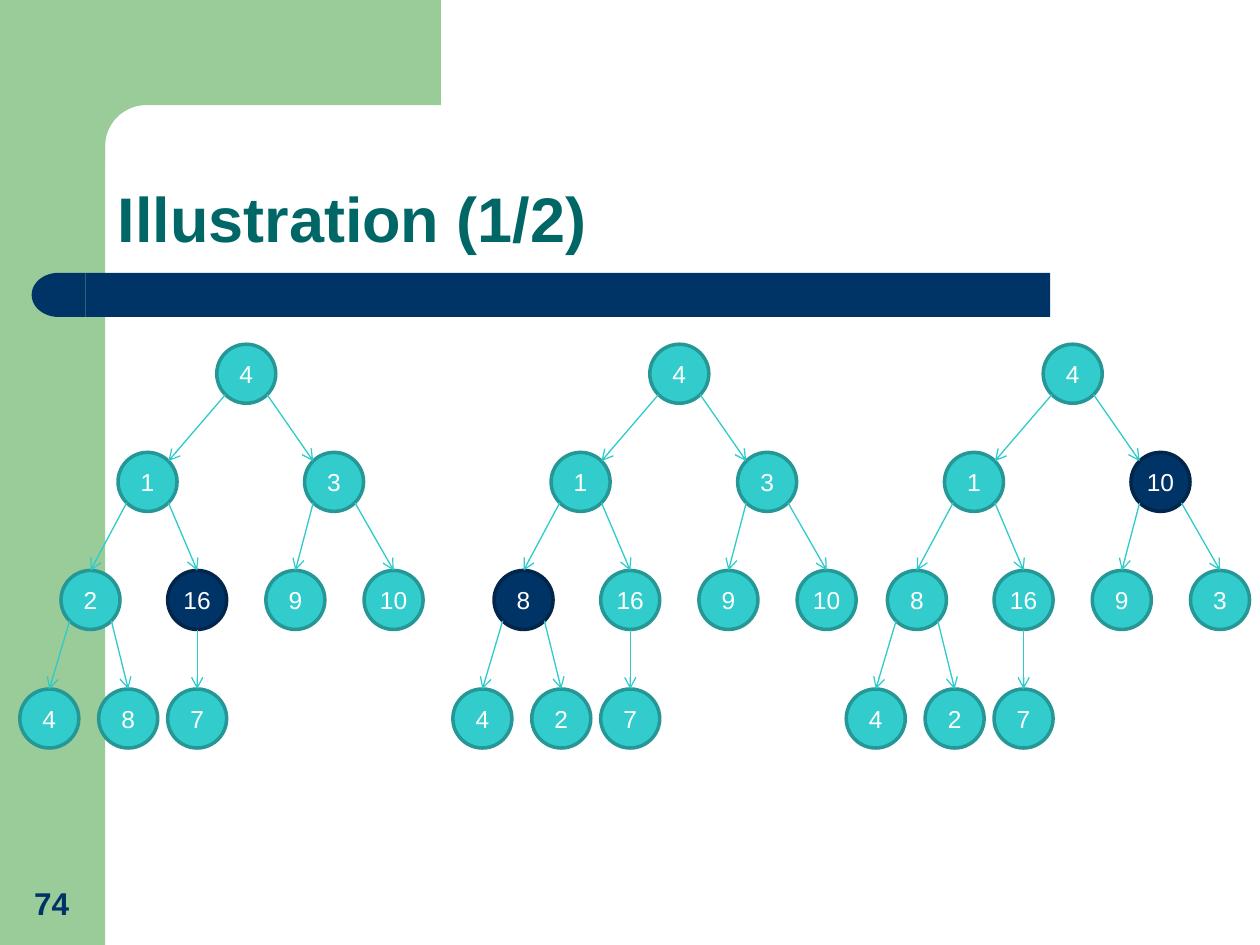
from math import cos, pi, sin
from lxml.etree import SubElement
from pptx import Presentation
from pptx.dml.color import RGBColor
from pptx.enum.shapes import MSO_CONNECTOR as Link, MSO_SHAPE as Shape
from pptx.enum.text import MSO_ANCHOR as Anchor, MSO_AUTO_SIZE as Fit, PP_ALIGN as Align
from pptx.oxml.ns import qn
from pptx.util import Cm, Pt

GREEN, NAVY, TEAL = "99CC99", "003366", "33CCCC"
NODE = 1.19  # node diameter, cm

# Left and top of each node in its tree, in heap order
ROWS = [(0, [3.97]),
        (2.18, [1.98, 5.74]),
        (4.56, [0.83, 2.98, 4.96, 6.94]),
        (6.95, [0, 1.59, 2.98])]
SPOTS = [(x, y) for y, xs in ROWS for x in xs]

# Tree left, node values, index of the marked node
TREES = [(0.4, [4, 1, 3, 2, 16, 9, 10, 4, 8, 7], 4),
         (9.13, [4, 1, 3, 8, 16, 9, 10, 4, 2, 7], 3),
         (17.06, [4, 1, 10, 8, 16, 9, 3, 4, 2, 7], 2)]


def color(code):
    return RGBColor.from_string(code)


def paint(shape, fill, line=None):
    shape.shadow.inherit = False
    shape.fill.solid()
    shape.fill.fore_color.rgb = color(fill)
    if line:
        shape.line.color.rgb = color(line)
        shape.line.width = Pt(2)
    else:
        shape.line.fill.background()


def write(frame, text, size, code, align, anchor, bold=False):
    frame.word_wrap = True
    frame.auto_size = Fit.NONE
    frame.vertical_anchor = anchor
    para = frame.paragraphs[0]
    para.alignment = align
    run = para.add_run()
    run.text = text
    font = run.font
    font.name, font.size, font.bold = "Arial", Pt(size), bold
    font.color.rgb = color(code)
    return para


def add_block(shapes, kind, x, y, w, h, fill):
    block = shapes.add_shape(kind, Cm(x), Cm(y), Cm(w), Cm(h))
    paint(block, fill)
    return block


def add_frame(shapes, x, y, w, h):
    """Green side band and a top block with a rounded inner corner."""
    band = 2.12
    add_block(shapes, Shape.RECTANGLE, x, y, band, h, GREEN)
    left, low, rad = x + 1.27, y + 3.25, 0.83
    mid = band + rad
    arc = [(x + mid - rad * sin(k * pi / 40), y + mid - rad * cos(k * pi / 40))
           for k in range(21)]
    points = [(x + w, y), (x + w, y + band), *arc, (x + band, low), (left, low)]
    pen = shapes.build_freeform(Cm(left), Cm(y))
    pen.add_line_segments([(Cm(a), Cm(b)) for a, b in points])
    paint(pen.convert_to_shape(), GREEN)


def add_bar(shapes, x, y, w, h):
    """Navy rule with a round left end."""
    cap = 1.08
    add_block(shapes, Shape.RECTANGLE, x + cap, y, w - cap, h, NAVY)
    end = add_block(shapes, Shape.FLOWCHART_DELAY, x, y, cap, h, NAVY)
    end._element.spPr.get_or_add_xfrm().set("flipH", "1")


def set_title(title, x, y, w, h):
    title.left, title.top, title.width, title.height = Cm(x), Cm(y), Cm(w), Cm(h)
    para = write(title.text_frame, "Illustration (1/2)", 36, "006666",
                 Align.LEFT, Anchor.BOTTOM, True)
    para.line_spacing = 0.9


def add_number(shapes, x, y, w, h):
    box = shapes.add_textbox(Cm(x), Cm(y), Cm(w), Cm(h))
    write(box.text_frame, "74", 18, NAVY, Align.CENTER, Anchor.BOTTOM, True)


def add_node(shapes, x, y, value, marked):
    node = shapes.add_shape(Shape.OVAL, Cm(x), Cm(y), Cm(NODE), Cm(NODE))
    paint(node, *((NAVY, "00264B") if marked else (TEAL, "269797")))
    frame = node.text_frame
    frame.margin_left = frame.margin_right = 0
    frame.margin_top = frame.margin_bottom = 0
    write(frame, str(value), 14, "FFFFFF", Align.CENTER, Anchor.MIDDLE)
    return node


def rim(node, side, drop):
    """Point on the node's edge: side and drop are -1, 0 or 1."""
    half = node.width / 2
    reach = half * (cos(pi / 4) if side else 1)
    return round(node.left + half + side * reach), round(node.top + half + drop * reach)


def add_arrow(shapes, start, end):
    arrow = shapes.add_connector(Link.STRAIGHT, *start, *end)
    arrow.line.color.rgb = color("2ECBCB")
    arrow.line.width = Pt(0.75)
    SubElement(arrow.line._get_or_add_ln(), qn("a:tailEnd"), type="arrow")
    SubElement(arrow._element.spPr, qn("a:effectLst"))
    return arrow


def add_tree(shapes, x, y, values, mark):
    nodes = [add_node(shapes, x + dx, y + dy, value, i == mark)
             for i, ((dx, dy), value) in enumerate(zip(SPOTS, values))]
    for i, child in enumerate(nodes[1:], 1):
        up = (i - 1) // 2
        side = -1 if i % 2 else 1
        # An only child hangs straight below its parent
        lone = i == len(nodes) - 1 and i % 2
        start = rim(nodes[up], 0 if lone else side, 1)
        # Arrows from the root meet the near shoulder, the others the top
        end = rim(child, 0 if up else -side, -1)
        arrow = add_arrow(shapes, start, end)
        if up:
            arrow.end_connect(child, 0)


def main():
    deck = Presentation()
    deck.slide_width, deck.slide_height = Cm(25.4), Cm(19.05)
    slide = deck.slides.add_slide(deck.slide_layouts[5])
    shapes = slide.shapes

    # Background and heading
    add_frame(shapes, 0, 0, 8.89, 19.05)
    add_bar(shapes, 0.64, 5.5, 20.53, 0.89)
    set_title(shapes.title, 2.12, 2.12, 22.01, 3.17)
    add_number(shapes, 0.22, 17.35, 1.64, 1.35)

    # Heap steps
    for left, values, mark in TREES:
        add_tree(shapes, left, 6.94, values, mark)

    deck.save("out.pptx")


if __name__ == "__main__":
    main()
